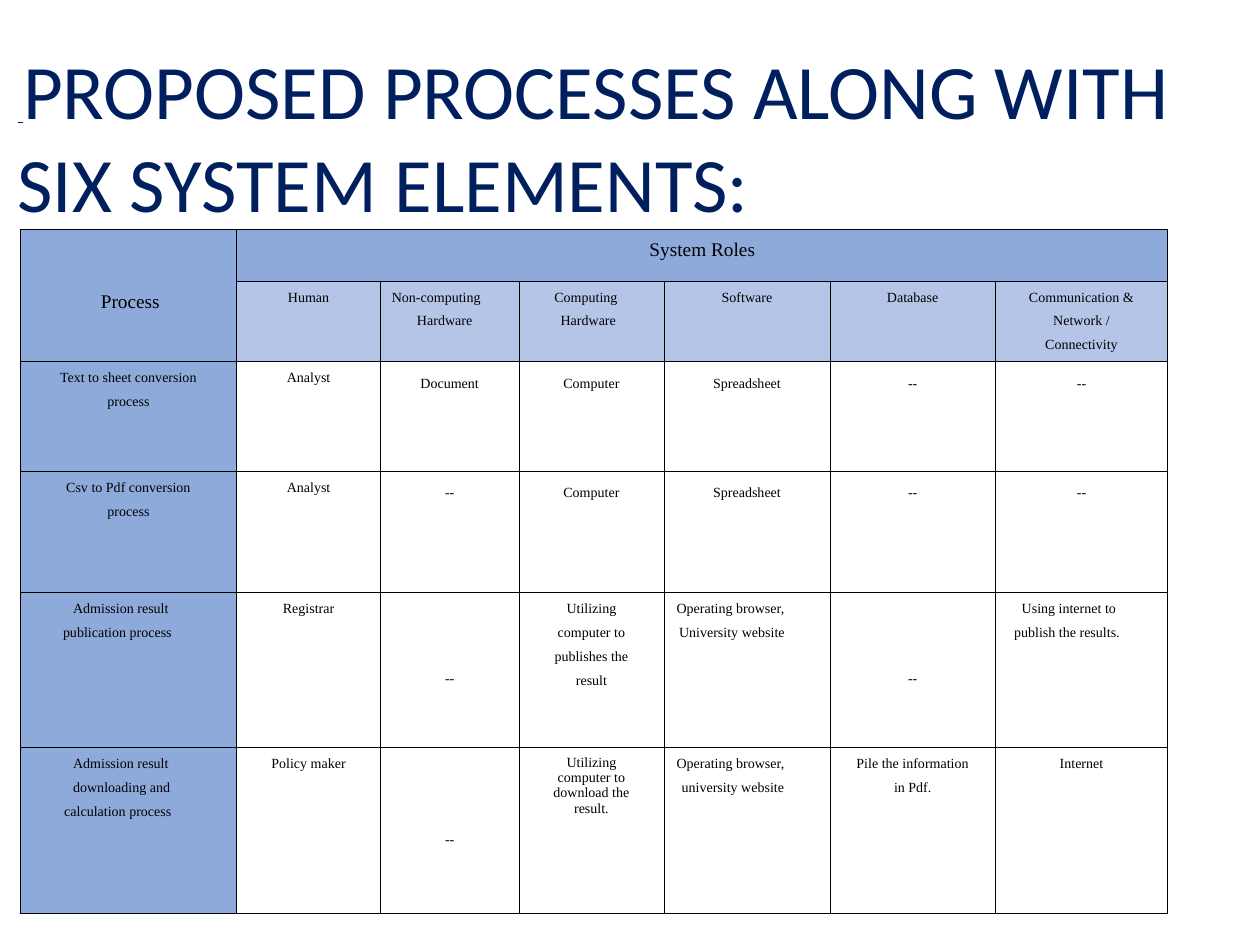
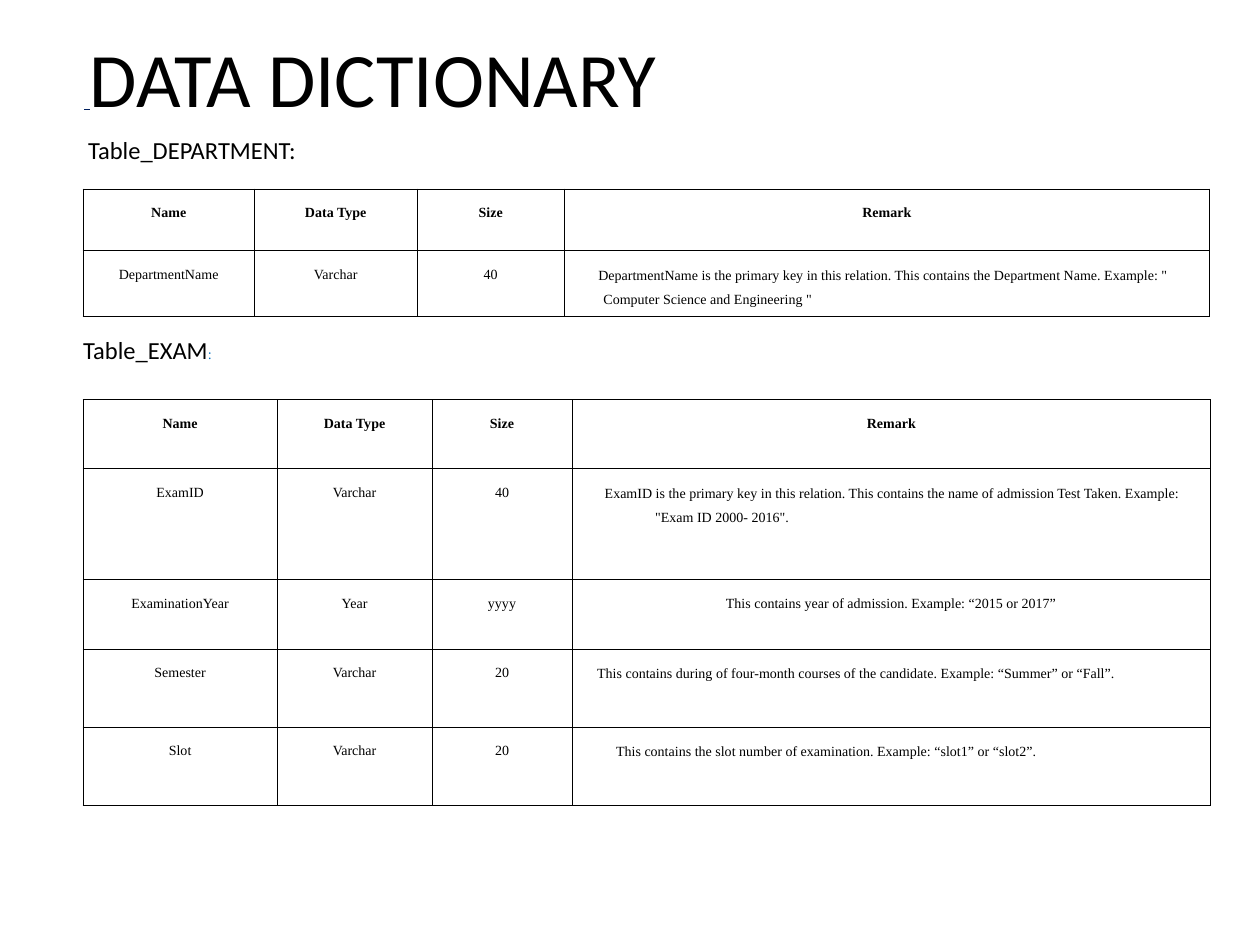
from lxml import etree
from pptx import Presentation
from pptx.dml.color import RGBColor
from pptx.enum.text import MSO_ANCHOR, MSO_AUTO_SIZE, PP_ALIGN
from pptx.oxml.ns import qn
from pptx.util import Inches, Pt

LEFT, CENTER = PP_ALIGN.LEFT, PP_ALIGN.CENTER
TOP = MSO_ANCHOR.TOP
NO_AUTOFIT = MSO_AUTO_SIZE.NONE
TITLE_ONLY = 5

HEADING_FONT, TABLE_FONT = "Calibri", "Times New Roman"
NAVY, BLUE, BLACK = "001F5F", "006FC0", "000000"
PROCESS_FILL, ROLE_FILL = "8EAADB", "B4C5E7"
LINE_PITCH = 13.7

# Runs are (text, size, font, colour, underlined)
TITLE_LEAD = (" ", 12.3, TABLE_FONT, NAVY, True)

# Cell formats; pitch None means natural line height
HEADER = {"size": 11, "pitch": 18}
LOWERED = {"top": 0.11, "pitch": None}
DICTIONARY_CELL = {"top": 0.13, "pitch": None}
DICTIONARY_HEADER = {**DICTIONARY_CELL, "bold": True}


def indented(left, first, **extra):
    """Left-aligned format: left margin and first-line start, in inches."""
    return {"align": LEFT, "left": left, "first": first, **extra}


def lowered(*texts):
    return [(text, LOWERED) for text in texts]


def remark(left, first):
    return indented(left, first, top=0.07)


# Content of the process table
ROLE_ROWS = [
    ["", ("System Roles", HEADER), "", "", "", "", ""],
    [("Process", indented(0.64, 0.64, **HEADER)),
     "Human",
     ("Non-computing\vHardware", indented(0.29, 0.09)),
     ("Computing\vHardware", indented(0.33, 0.28)),
     "Software",
     "Database",
     "Communication &\vNetwork /\nConnectivity"],
    ["Text to sheet conversion\nprocess", "Analyst",
     *lowered("Document", "Computer", "Spreadsheet", "--", "--")],
    ["Csv to Pdf conversion\nprocess", "Analyst",
     *lowered("--", "Computer", "Spreadsheet", "--", "--")],
    [("Admission result\vpublication process", indented(0.34, 0.42)),
     "Registrar",
     ("--", {"top": 0.56}),
     "Utilizing\vcomputer to\npublishes the\vresult",
     ("Operating browser,\vUniversity website", indented(0.12, 0.1)),
     ("--", {"top": 0.56}),
     ("Using internet to\vpublish the results.", indented(0.15, 0.21))],
    [("Admission result\ndownloading and\vcalculation process",
      indented(0.35, 0.42)),
     "Policy maker",
     ("--", {"top": 0.67, "pitch": None}),
     ("Utilizing\ncomputer to\vdownload the\vresult.",
      {"top": 0.06, "pitch": 8.8}),
     ("Operating browser,\vuniversity website", indented(0.14, 0.1)),
     "Pile the information\nin Pdf.",
     "Internet"],
]

# Content of the data dictionary
COLUMN_NAMES = ["Name", "Data Type", "Size", "Remark"]
DEPARTMENT_FIELDS = [
    ["DepartmentName", "Varchar", "40",
     ("DepartmentName is the primary key in this relation. This contains the "
      "Department Name. Example: \"\vComputer Science and Engineering \"",
      remark(0.31, 0.27))],
]
EXAM_FIELDS = [
    ["ExamID", "Varchar", "40",
     ("ExamID is the primary key in this relation. This contains the name of "
      "admission Test Taken. Example:\v\"Exam ID 2000- 2016\".",
      remark(0.66, 0.26))],
    ["ExaminationYear", "Year", "yyyy",
     "This contains year of admission. Example: “2015 or 2017”"],
    ["Semester", "Varchar", "20",
     ("This contains during of four-month courses of the candidate. "
      "Example: “Summer” or “Fall”.", remark(0.2, 0.2))],
    ["Slot", "Varchar", "20",
     ("This contains the slot number of examination. "
      "Example: “slot1” or “slot2”.", remark(0.35, 0.35))],
]


def color(value):
    return RGBColor.from_string(value)


def write_heading(shape, box, paragraphs):
    """Place a heading and fill it with (space before, runs) paragraphs."""
    shape.left, shape.top, shape.width, shape.height = map(Inches, box)
    frame = shape.text_frame
    frame.word_wrap, frame.auto_size = True, NO_AUTOFIT
    frame.vertical_anchor = TOP
    frame.margin_left = frame.margin_right = 0
    frame.margin_top = frame.margin_bottom = 0
    for index, (space_before, runs) in enumerate(paragraphs):
        paragraph = frame.add_paragraph() if index else frame.paragraphs[0]
        paragraph.alignment = LEFT
        paragraph.space_before = Pt(space_before)
        for text, size, font, ink, underlined in runs:
            run = paragraph.add_run()
            run.text = text
            run.font.size, run.font.name = Pt(size), font
            run.font.color.rgb = color(ink)
            run.font.bold = run.font.underline = underlined


def set_borders(cell, hidden=""):
    """Draw thin black edges, except the sides (L, R, T, B) in hidden."""
    properties = cell._tc.get_or_add_tcPr()
    for side in "LRTB":
        line = etree.SubElement(properties, qn(f"a:ln{side}"), w=str(Pt(0.5)))
        if side in hidden:
            etree.SubElement(line, qn("a:noFill"))
        else:
            fill = etree.SubElement(line, qn("a:solidFill"))
            etree.SubElement(fill, qn("a:srgbClr"), val=BLACK)


def write_cell(cell, text, size=8, bold=False, top=0, pitch=LINE_PITCH,
               align=CENTER, left=0, first=0):
    cell.margin_left = cell.margin_right = cell.margin_bottom = 0
    cell.margin_top = Inches(top)
    cell.vertical_anchor = TOP
    cell.text = text
    for paragraph in cell.text_frame.paragraphs:
        paragraph.alignment = align
        paragraph.font.size, paragraph.font.bold = Pt(size), bold
        paragraph.font.name = TABLE_FONT
        paragraph.font.color.rgb = color(BLACK)
        if pitch:
            paragraph.line_spacing = Pt(pitch)
        if left:
            properties = paragraph._p.get_or_add_pPr()
            properties.set("marL", str(Inches(left)))
            properties.set("indent", str(Inches(first - left)))


def add_grid(slide, left, top, widths, heights, rows, base=None,
             header=None, fill_for=None, hidden=None):
    """Add a ruled table; a cell is a text or a (text, format) pair."""
    frame = slide.shapes.add_table(
        len(rows), len(widths), Inches(left), Inches(top),
        Inches(sum(widths)), Inches(sum(heights)))
    table = frame.table
    table.first_row = table.horz_banding = False
    for column, width in zip(table.columns, widths):
        column.width = Inches(width)
    for row, height in zip(table.rows, heights):
        row.height = Inches(height)
    for row_index, row in enumerate(rows):
        default = header if header and row_index == 0 else base or {}
        for column_index, content in enumerate(row):
            cell = table.cell(row_index, column_index)
            text, style = (content, default) if isinstance(content, str) else content
            set_borders(cell, (hidden or {}).get((row_index, column_index), ""))
            fill = fill_for(row_index, column_index) if fill_for else None
            if fill:
                cell.fill.solid()
                cell.fill.fore_color.rgb = color(fill)
            else:
                cell.fill.background()
            write_cell(cell, text, **style)
    return table


def role_fill(row, column):
    if row == 0 or column == 0:
        return PROCESS_FILL
    return ROLE_FILL if row == 1 else None


def add_dictionary(slide, top, widths, heights, fields):
    add_grid(slide, 0.66, top, widths, heights, [COLUMN_NAMES, *fields],
             base=DICTIONARY_CELL, header=DICTIONARY_HEADER)


def add_slide(presentation):
    return presentation.slides.add_slide(presentation.slide_layouts[TITLE_ONLY])


def build_processes(presentation):
    slide = add_slide(presentation)
    title = ("PROPOSED PROCESSES ALONG WITH SIX SYSTEM ELEMENTS:",
             44, HEADING_FONT, NAVY, False)
    write_heading(slide.shapes.title, (0.14, 0.34, 9.86, 1.48),
                  [(0.7, [TITLE_LEAD, title])])
    # The Process heading spans two rows without a rule between them
    table = add_grid(slide, 0.16, 1.82,
                     [1.72, 1.14, 1.1, 1.15, 1.32, 1.31, 1.37],
                     [0.41, 0.64, 0.87, 0.96, 1.23, 1.32],
                     ROLE_ROWS, fill_for=role_fill,
                     hidden={(0, 0): "B", (1, 0): "T"})
    table.cell(0, 1).merge(table.cell(0, 6))


def build_data_dictionary(presentation):
    slide = add_slide(presentation)
    title = ("DATA DICTIONARY", 44, HEADING_FONT, BLACK, False)
    department_lead = (" ", 8.2, TABLE_FONT, BLUE, False)
    department = ("Table_DEPARTMENT:", 14, HEADING_FONT, BLACK, False)
    write_heading(slide.shapes.title, (0.67, 0.24, 8.08, 1.07),
                  [(0.7, [TITLE_LEAD, title]),
                   (6.8, [department_lead, department])])
    add_dictionary(slide, 1.5, [1.36, 1.29, 1.17, 5.12], [0.49, 0.52],
                   DEPARTMENT_FIELDS)

    exam_box = (0.66, 2.66, 2.64, 0.24)
    exam_heading = slide.shapes.add_textbox(*map(Inches, exam_box))
    write_heading(exam_heading, exam_box,
                  [(0.7, [("Table_EXAM", 14, HEADING_FONT, BLACK, False),
                          (":", 8.2, TABLE_FONT, BLUE, False)])])
    add_dictionary(slide, 3.17, [1.54, 1.23, 1.11, 5.07],
                   [0.55, 0.88, 0.55, 0.62, 0.62], EXAM_FIELDS)


def main():
    presentation = Presentation()
    presentation.slide_width, presentation.slide_height = Inches(10), Inches(7.5)
    build_processes(presentation)
    build_data_dictionary(presentation)
    presentation.save("out.pptx")


if __name__ == "__main__":
    main()
